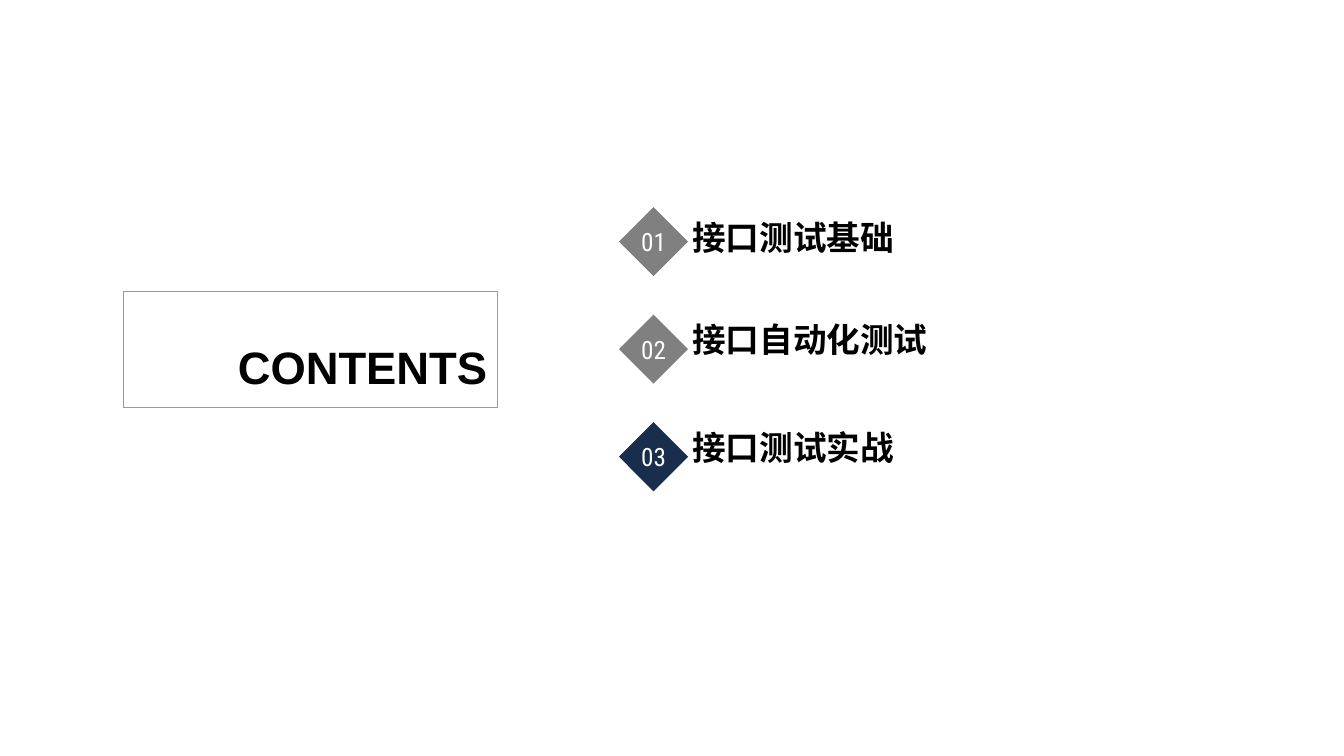
"""Build the contents slide with three numbered chapters."""
from dataclasses import dataclass

from pptx import Presentation
from pptx.dml.color import RGBColor
from pptx.enum.shapes import MSO_SHAPE
from pptx.enum.text import MSO_ANCHOR, PP_ALIGN
from pptx.util import Cm, Pt


@dataclass(frozen=True)
class Theme:
    black: str = "000000"
    white: str = "FFFFFF"
    border: str = "999999"
    muted: str = "808080"
    active: str = "192D4C"
    text_font: str = "Arial"
    number_font: str = "Roboto Condensed"
    title_size: float = 32.4
    label_size: float = 24
    number_size: float = 18


theme = Theme()


def write_text(shape, text, font_name, size, color, bold, alignment, anchor):
    frame = shape.text_frame
    frame.vertical_anchor = anchor
    paragraph = frame.paragraphs[0]
    paragraph.alignment = alignment
    run = paragraph.add_run()
    run.text = text
    run.font.name = font_name
    run.font.size = Pt(size)
    run.font.bold = bold
    run.font.color.rgb = RGBColor.from_string(color)


presentation = Presentation()
presentation.slide_width = Cm(33.87)
presentation.slide_height = Cm(19.05)
slide = presentation.slides.add_slide(presentation.slide_layouts[6])

title_box = slide.shapes.add_shape(MSO_SHAPE.RECTANGLE, Cm(3.11), Cm(7.35), Cm(9.42), Cm(2.92))
title_box.shadow.inherit = False
title_box.fill.background()
title_box.line.color.rgb = RGBColor.from_string(theme.border)
title_box.line.width = Pt(0.25)
title_box.text_frame.margin_top = Cm(1.2)
write_text(title_box, "CONTENTS", theme.text_font, theme.title_size, theme.black, True,
           PP_ALIGN.RIGHT, MSO_ANCHOR.TOP)

chapters = [
    ("接口测试基础", 6.6, theme.muted),
    ("接口自动化测试", 9.17, theme.muted),
    ("接口测试实战", 11.91, theme.active),
]
diamond_left, diamond_top, diamond_side, diamond_step = 15.6, 5.22, 1.74, 2.71
label_height = 1.42

for index, (label, label_bottom, color) in enumerate(chapters):
    diamond = slide.shapes.add_shape(
        MSO_SHAPE.DIAMOND, Cm(diamond_left), Cm(diamond_top + index * diamond_step),
        Cm(diamond_side), Cm(diamond_side))
    diamond.shadow.inherit = False
    diamond.fill.solid()
    diamond.fill.fore_color.rgb = RGBColor.from_string(color)
    diamond.line.fill.background()
    frame = diamond.text_frame
    frame.word_wrap = False
    frame.margin_left = frame.margin_right = frame.margin_top = frame.margin_bottom = 0
    write_text(diamond, f"{index + 1:02}", theme.number_font, theme.number_size, theme.white,
               False, PP_ALIGN.CENTER, MSO_ANCHOR.MIDDLE)

    label_box = slide.shapes.add_textbox(
        Cm(17.2), Cm(label_bottom - label_height), Cm(10.59), Cm(label_height))
    label_box.text_frame.word_wrap = True
    write_text(label_box, label, theme.text_font, theme.label_size, theme.black, True,
               PP_ALIGN.LEFT, MSO_ANCHOR.BOTTOM)

presentation.save("out.pptx")
